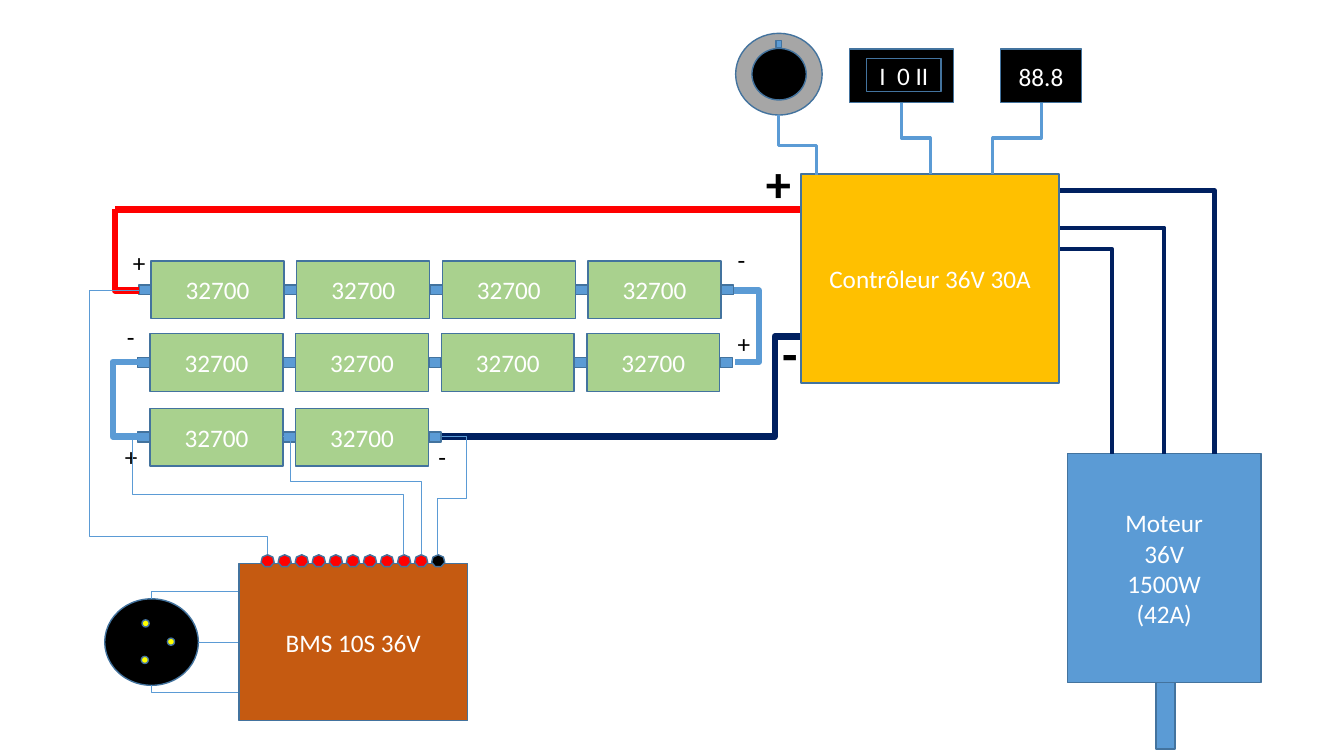
import pptx
import pptx.util
import pptx.dml.color
import pptx.enum.shapes
import pptx.enum.text
import pptx.oxml.ns
import lxml.etree

Cm = pptx.util.Cm
SHAPE = pptx.enum.shapes.MSO_SHAPE
LINE = pptx.enum.shapes.MSO_CONNECTOR
ALIGN = pptx.enum.text.PP_ALIGN
BLUE, NAVY, RED, BLACK, WHITE = "5B9BD5", "002060", "FF0000", "000000", "FFFFFF"
OUTLINE, GREEN, GREY, YELLOW = "43739E", "A9D18E", "A6A6A6", "FFFF00"


def rgb(value):
    """Turn a hex string into a colour."""
    return pptx.dml.color.RGBColor.from_string(value)


def style_text(tf, text, size, color, bold=False, align=None):
    """Write text and format all of its runs."""
    tf.text = text
    for p in tf.paragraphs:
        p.alignment = align
        for r in p.runs:
            r.font.name, r.font.size = "Calibri", pptx.util.Pt(size)
            r.font.bold, r.font.color.rgb = bold, rgb(color)


def block(s, kind, x, y, w, h, fill, text=""):
    """Draw an outlined shape, with centred white text if given."""
    sp = s.shapes.add_shape(kind, Cm(x), Cm(y), Cm(w), Cm(h))
    sp.shadow.inherit = False
    sp.fill.solid()
    sp.fill.fore_color.rgb = rgb(fill)
    sp.line.color.rgb = rgb(OUTLINE)
    sp.line.width = pptx.util.Pt(1)
    if text:
        style_text(sp.text_frame, text, 18, WHITE, align=ALIGN.CENTER)


def sign(s, x, y, text, size=18, bold=False):
    """Place a polarity sign in an unwrapped text box."""
    w, h = (1.0, 1.8) if bold else (0.8, 1.02)
    tf = s.shapes.add_textbox(Cm(x), Cm(y), Cm(w), Cm(h)).text_frame
    tf.word_wrap = False
    tf.auto_size = pptx.enum.text.MSO_AUTO_SIZE.SHAPE_TO_FIT_TEXT
    style_text(tf, text, size, BLACK, bold)


def wire(s, points, color, width, x=0, y=0):
    """Draw a straight or bent connector through points relative to (x, y)."""
    pts = [(x + px, y + py) for px, py in points]
    (x0, y0), (x1, y1) = pts[0], pts[-1]
    dx, dy = x1 - x0, y1 - y0
    bends = len(pts) - 1
    vertical = bends > 1 and pts[1][0] == x0
    rot = 0
    bx, by, ex, ey = x0, y0, x1, y1
    if vertical:
        rot = 270 if dx * dy > 0 else 90
        turn = 1 if rot == 90 else -1
        mx, my = (x0 + x1) / 2, (y0 + y1) / 2
        lx, ly = turn * dy / 2, -turn * dx / 2
        bx, by, ex, ey = mx - lx, my - ly, mx + lx, my + ly
    kind = LINE.STRAIGHT if bends == 1 else LINE.ELBOW
    c = s.shapes.add_connector(kind, Cm(bx), Cm(by), Cm(ex), Cm(ey))
    c.line.color.rgb = rgb(color)
    c.line.width = pptx.util.Pt(width)
    qn = pptx.oxml.ns.qn
    spPr = c.element.spPr
    lxml.etree.SubElement(spPr, qn("a:effectLst"))
    if rot:
        spPr.find(qn("a:xfrm")).set("rot", str(rot * 60000))
    if bends > 1:
        geom = spPr.find(qn("a:prstGeom"))
        geom.set("prst", f"bentConnector{bends}")
        guides = geom.find(qn("a:avLst"))
        for i in range(1, bends - 1):
            along_y = vertical == (i % 2 == 1)
            share = (pts[i + 1][1] - y0) / dy if along_y else (pts[i + 1][0] - x0) / dx
            gd = lxml.etree.SubElement(guides, qn("a:gd"))
            gd.set("name", f"adj{i}")
            gd.set("fmla", f"val {round(share * 100000)}")


def battery(s, x, y):
    """Three rows of cells in series, from the first cell's corner."""
    w, h, step = 3.35, 1.45, 3.67
    for dx, dy, count in ((0, 0, 4), (-0.03, 1.83, 4), (-0.03, 3.71, 2)):
        for i in range(count + 1):
            left = x + dx + i * step
            block(s, SHAPE.RECTANGLE, left - 0.31, y + dy + 0.6, 0.31, 0.25, BLUE)
            if i < count:
                block(s, SHAPE.RECTANGLE, left, y + dy, w, h, GREEN, "32700")
    for dx, dy, text in ((-0.71, -0.46, "+"), (14.53, -0.56, "-"),
                         (-0.86, 1.4, "-"), (14.53, 1.57, "+"),
                         (-0.91, 4.42, "+"), (6.99, 4.42, "-")):
        sign(s, x + dx, y + dy, text)
    wire(s, [(-0.33, 2.54), (-0.97, 2.54), (-0.97, 4.42), (-0.32, 4.42)], BLUE, 4.5, x, y)
    wire(s, [(14.68, 0.74), (15.32, 0.74), (15.32, 2.54), (14.71, 2.54)], BLUE, 4.5, x, y)


def controller(s, x, y, w, h):
    """Controller with its supply signs and supply wires."""
    wire(s, [(-16.68, 2.93), (-17.29, 2.93), (-17.29, 0.89)], RED, 4.5, x, y)
    wire(s, [(-17.29, 0.89), (0.05, 0.89)], RED, 4.5, x, y)
    wire(s, [(-9.06, 6.61), (-0.66, 6.61), (-0.66, 4.09), (0, 4.09)], NAVY, 4.5, x, y)
    sign(s, x - 1.14, y - 0.68, "+", 36, True)
    sign(s, x - 0.73, y + 3.61, "-", 36, True)
    block(s, SHAPE.RECTANGLE, x, y, w, h, "FFC000", "Contrôleur 36V 30A")


def panel(s, x, y):
    """Throttle knob, direction switch and display, with their leads."""
    block(s, SHAPE.OVAL, x, y, 2.18, 2.06, GREY)
    block(s, SHAPE.OVAL, x + 0.41, y + 0.38, 1.37, 1.3, BLACK)
    block(s, SHAPE.RECTANGLE, x + 1.02, y + 0.18, 0.13, 0.18, BLUE)
    block(s, SHAPE.RECTANGLE, x + 2.87, y + 0.4, 2.62, 1.35, BLACK)
    block(s, SHAPE.RECTANGLE, x + 3.3, y + 0.63, 1.88, 0.84, BLACK, "I  0 II")
    block(s, SHAPE.RECTANGLE, x + 6.68, y + 0.4, 2.03, 1.35, BLACK, "88.8")
    for start, end, top, bend, foot in ((1.09, 2.03, 2.06, 2.82, 3.58),
                                        (4.18, 4.9, 1.75, 2.64, 3.55),
                                        (7.7, 6.48, 1.75, 2.64, 3.55)):
        wire(s, [(start, top), (start, bend), (end, bend), (end, foot)], BLUE, 2.25, x, y)


def motor(s, x, y, w, h):
    """Motor with its shaft and three phase wires."""
    block(s, SHAPE.RECTANGLE, x, y, w, h, BLUE, "Moteur\n36V\n1500W\n(42A)")
    block(s, SHAPE.RECTANGLE, x + 2.23, y + h, 0.48, 1.68, BLUE)
    for dx, dy in ((3.71, -6.63), (2.44, -5.69), (1.12, -5.16)):
        wire(s, [(-0.18, dy), (dx, dy), (dx, 0)], NAVY, 3, x, y)


def bms(s, x, y, w, h):
    """Battery management board with its pins and sense wires."""
    block(s, SHAPE.RECTANGLE, x, y, w, h, "C55A11", "BMS 10S 36V")
    pins = 11
    for i in range(pins):
        block(s, SHAPE.HEPTAGON, x + 0.56 + i * 0.43, y - 0.22, 0.33, 0.3,
              BLACK if i == pins - 1 else RED)
    for points in (
            [(5.11, -3.2), (5.74, -3.2), (5.74, -1.65), (5.0, -1.65), (5.0, -0.23)],
            [(-2.51, -6.88), (-3.78, -6.88), (-3.78, -0.69), (0.71, -0.69), (0.71, -0.23)],
            [(1.12, -3.2), (1.3, -3.2), (1.3, -2.08), (4.6, -2.08), (4.6, -0.23)],
            [(4.14, -0.23), (4.14, -1.73), (-2.69, -1.73), (-2.69, -3.2)]):
        wire(s, points, BLUE, 0.5, x, y)


def charger(s, x, y, w, h):
    """Round charging socket with three contacts and its wires."""
    block(s, SHAPE.OVAL, x, y, w, h, BLACK)
    for dx, dy in ((0.92, 1.45), (0.94, 0.53), (1.58, 0.99)):
        block(s, SHAPE.OVAL, x + dx, y + dy, 0.18, 0.18, YELLOW)
    for edge, level in ((0, -0.18), (h, h + 0.18)):
        wire(s, [(3.38, level), (w / 2, level), (w / 2, edge)], BLUE, 0.5, x, y)
    wire(s, [(w, h / 2), (3.38, h / 2)], BLUE, 0.5, x, y)


prs = pptx.Presentation()
prs.slide_width, prs.slide_height = Cm(33.87), Cm(19.05)
s = prs.slides.add_slide(prs.slide_layouts[6])
battery(s, 3.81, 6.58)
controller(s, 20.19, 4.39, 6.5, 5.26)
motor(s, 26.9, 11.43, 4.88, 5.77)
panel(s, 18.54, 0.84)
charger(s, 2.64, 15.09, 2.36, 2.18)
bms(s, 6.02, 14.2, 5.77, 3.96)
prs.save("out.pptx")
